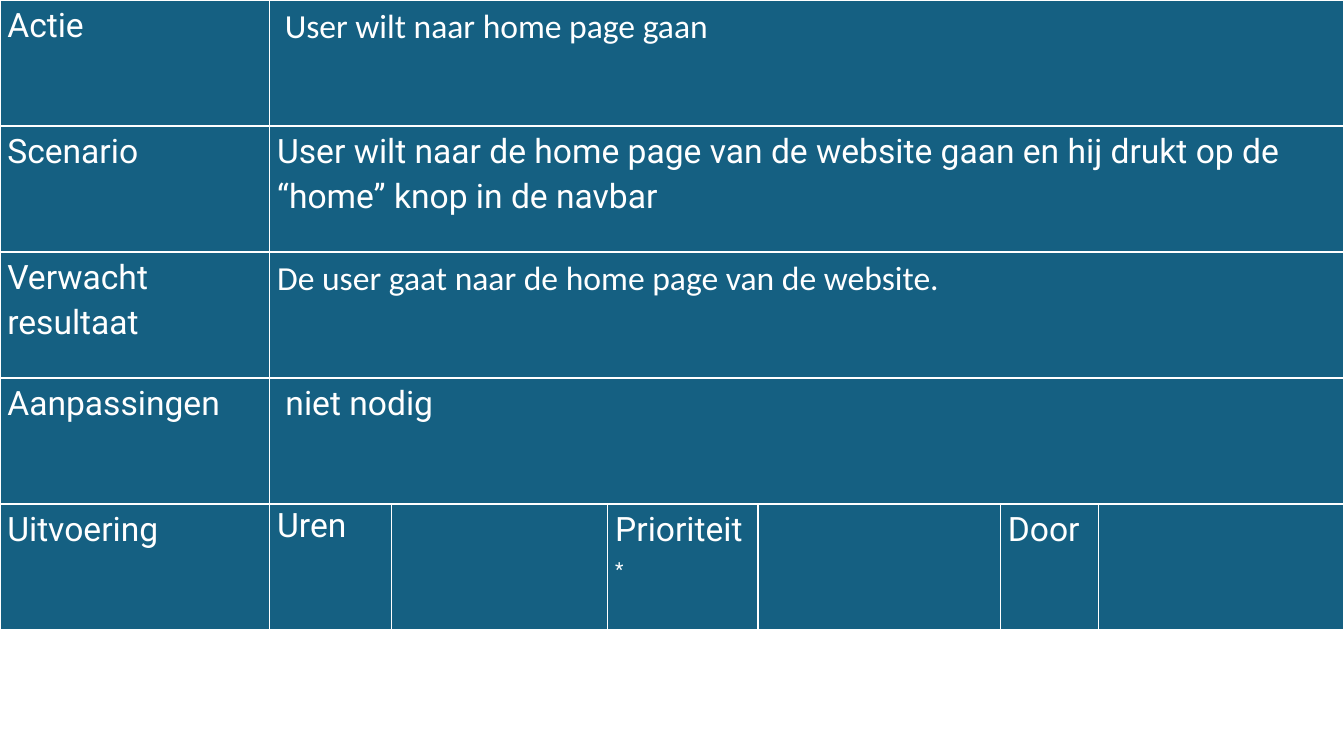
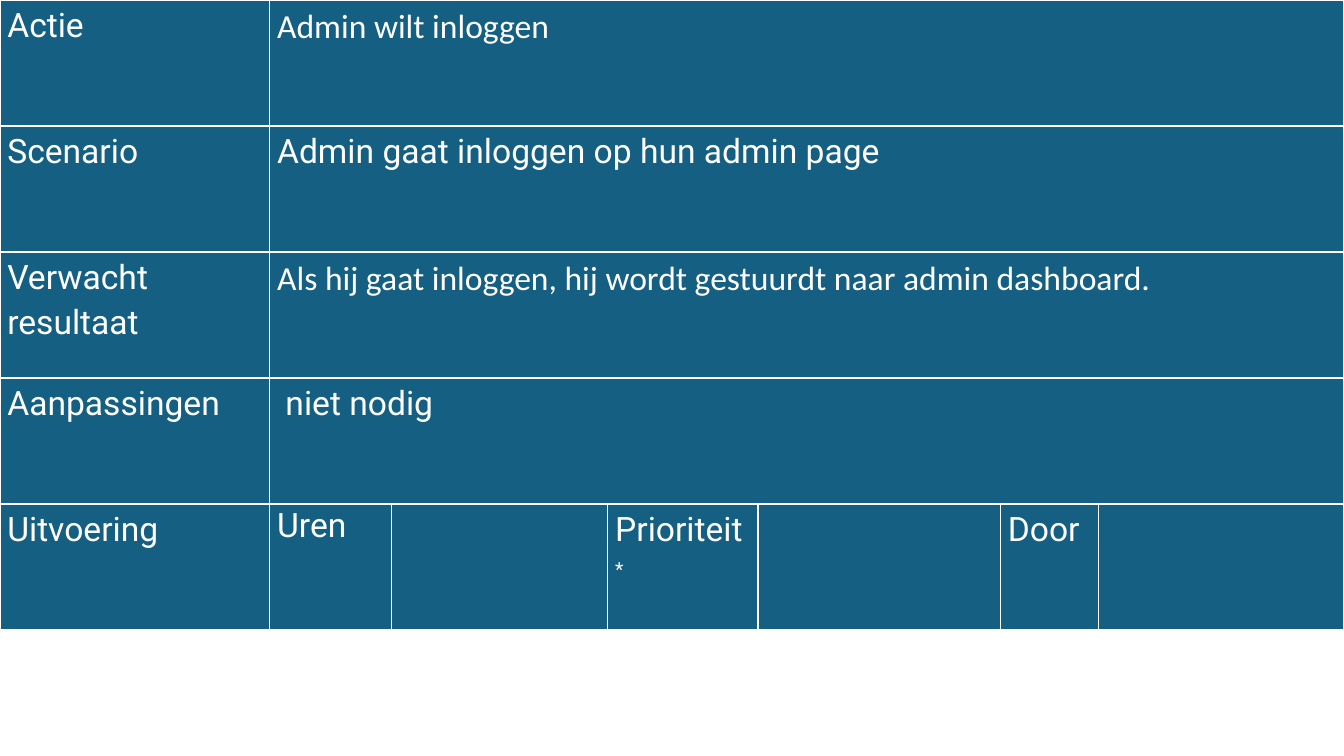
from dataclasses import dataclass

from lxml import etree
from pptx import Presentation
from pptx import util as u
from pptx.dml.color import RGBColor
from pptx.oxml.ns import qn

# Content: (action, scenario, expected result) for each test case
TEST_CASES = [
    (" User wilt naar home page gaan",
     "User wilt naar de home page van de website gaan en hij drukt op de “home” knop in de navbar",
     "De user gaat naar de home page van de website."),
    ("Admin wilt inloggen",
     "Admin gaat inloggen op hun admin page",
     "Als hij gaat inloggen, hij wordt gestuurdt naar admin dashboard."),
]
ADJUSTMENTS = " niet nodig"
ROW_LABELS = ["Actie", "Scenario", "Verwacht resultaat", "Aanpassingen", "Uitvoering"]
EXECUTION_LABELS = {1: "Uren", 3: "Prioriteit", 5: "Door"}
FOOTNOTE_MARK = "*"

# Geometry in px, 96 to the inch
PX = 9525
SLIDE_W, SLIDE_H = 1280, 720
COLUMNS = [257, 116, 206, 143, 231, 93, 234]
ROW_H = 120
INSET = 7


@dataclass(frozen=True)
class Theme:
    fill: str = "156082"
    ink: str = "FFFFFF"
    label_font: str = "Roboto"
    answer_font: str = "Calibri"
    size: int = 24
    border: int = 1
    leading: float = 1.15
    tight_leading: float = 1.06
    space_after: int = 6


THEME = Theme()


def write(cell, words, *, font=THEME.label_font, leading=THEME.leading, superscript=""):
    paragraph = cell.text_frame.paragraphs[0]
    paragraph.line_spacing = leading
    paragraph.space_after = u.Pt(THEME.space_after)
    for part in filter(None, (words, superscript)):
        run = paragraph.add_run()
        run.text = part
        run.font.name = font
        run.font.size = u.Pt(THEME.size)
        run.font.bold = False
        run.font.color.rgb = RGBColor.from_string(THEME.ink)
    if superscript:
        run.font._element.set("baseline", "30000")


def style_cell(cell):
    cell.margin_left = cell.margin_right = INSET * PX
    cell.margin_top = cell.margin_bottom = 0
    cell.fill.solid()
    cell.fill.fore_color.rgb = RGBColor.from_string(THEME.fill)
    # Borders come before the fill in the cell properties
    properties = cell._tc.get_or_add_tcPr()
    for position, side in enumerate("LRTB"):
        line = etree.Element(qn(f"a:ln{side}"), w=str(u.Pt(THEME.border)))
        solid = etree.SubElement(line, qn("a:solidFill"))
        etree.SubElement(solid, qn("a:srgbClr"), val=THEME.ink)
        properties.insert(position, line)


def add_test_case(prs, action, scenario, expected):
    slide = prs.slides.add_slide(prs.slide_layouts[6])
    last_row, last_column = len(ROW_LABELS) - 1, len(COLUMNS) - 1
    table = slide.shapes.add_table(
        len(ROW_LABELS), len(COLUMNS), 0, 0,
        sum(COLUMNS) * PX, len(ROW_LABELS) * ROW_H * PX).table
    table.first_row = table.horz_banding = False

    # Grid: one wide answer per row, except in the execution row
    for column, width in zip(table.columns, COLUMNS):
        column.width = width * PX
    for row in table.rows:
        row.height = ROW_H * PX
    for r in range(last_row):
        table.cell(r, 1).merge(table.cell(r, last_column))
    for cell in table.iter_cells():
        if not cell.is_spanned:
            style_cell(cell)

    # Labels and answers
    for r, label in enumerate(ROW_LABELS):
        write(table.cell(r, 0), label)
    table.cell(ROW_LABELS.index("Aanpassingen"), 0).margin_right = 0
    answers = [(action, THEME.answer_font), (scenario, THEME.label_font),
               (expected, THEME.answer_font), (ADJUSTMENTS, THEME.label_font)]
    for r, (answer, font) in enumerate(answers):
        write(table.cell(r, 1), answer, font=font)

    # Execution row
    for c, label in EXECUTION_LABELS.items():
        write(table.cell(last_row, c), label,
              leading=THEME.tight_leading if label == "Uren" else THEME.leading,
              superscript=FOOTNOTE_MARK if label == "Prioriteit" else "")


def main():
    prs = Presentation()
    prs.slide_width, prs.slide_height = SLIDE_W * PX, SLIDE_H * PX
    for test_case in TEST_CASES:
        add_test_case(prs, *test_case)
    prs.save("out.pptx")


if __name__ == "__main__":
    main()
